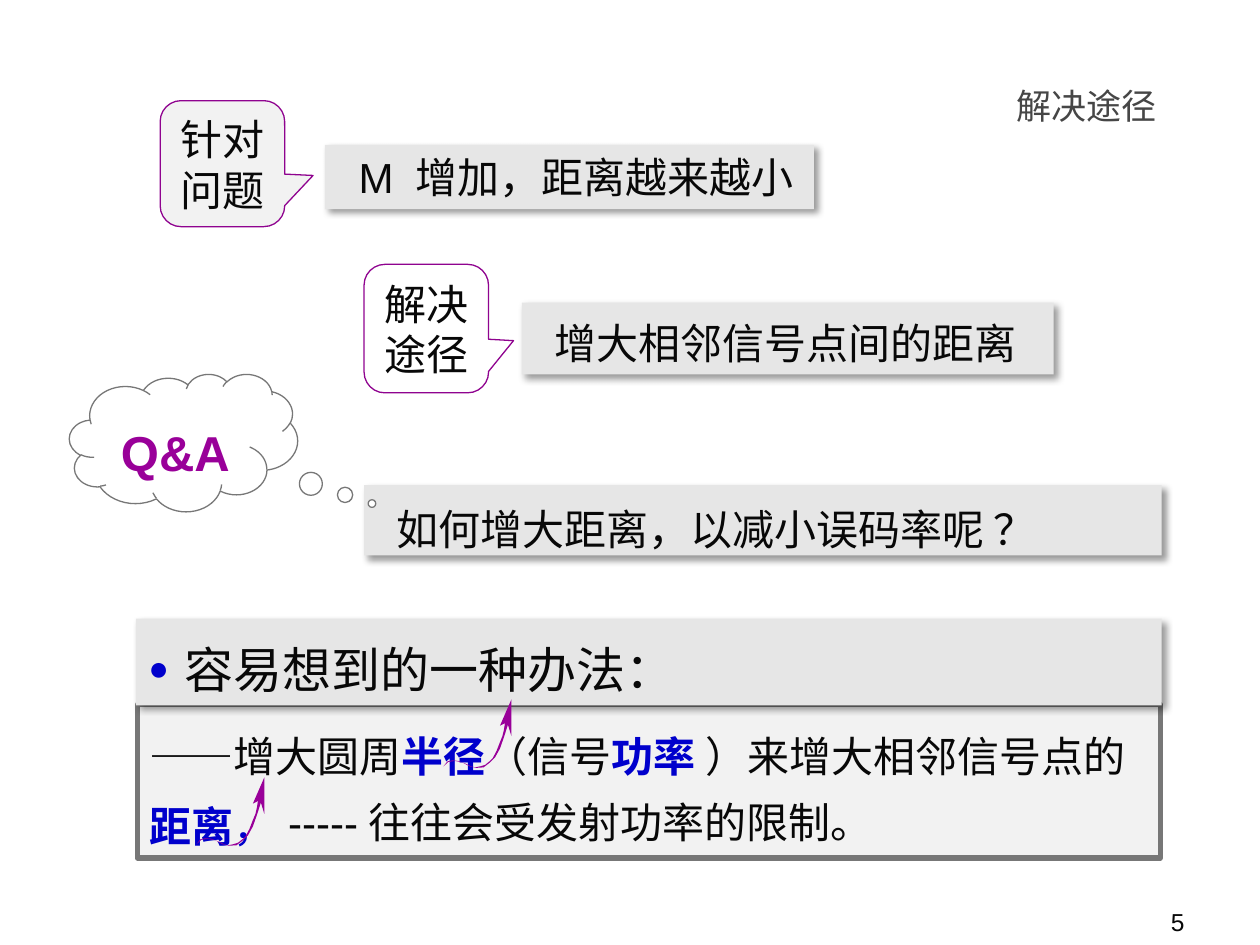
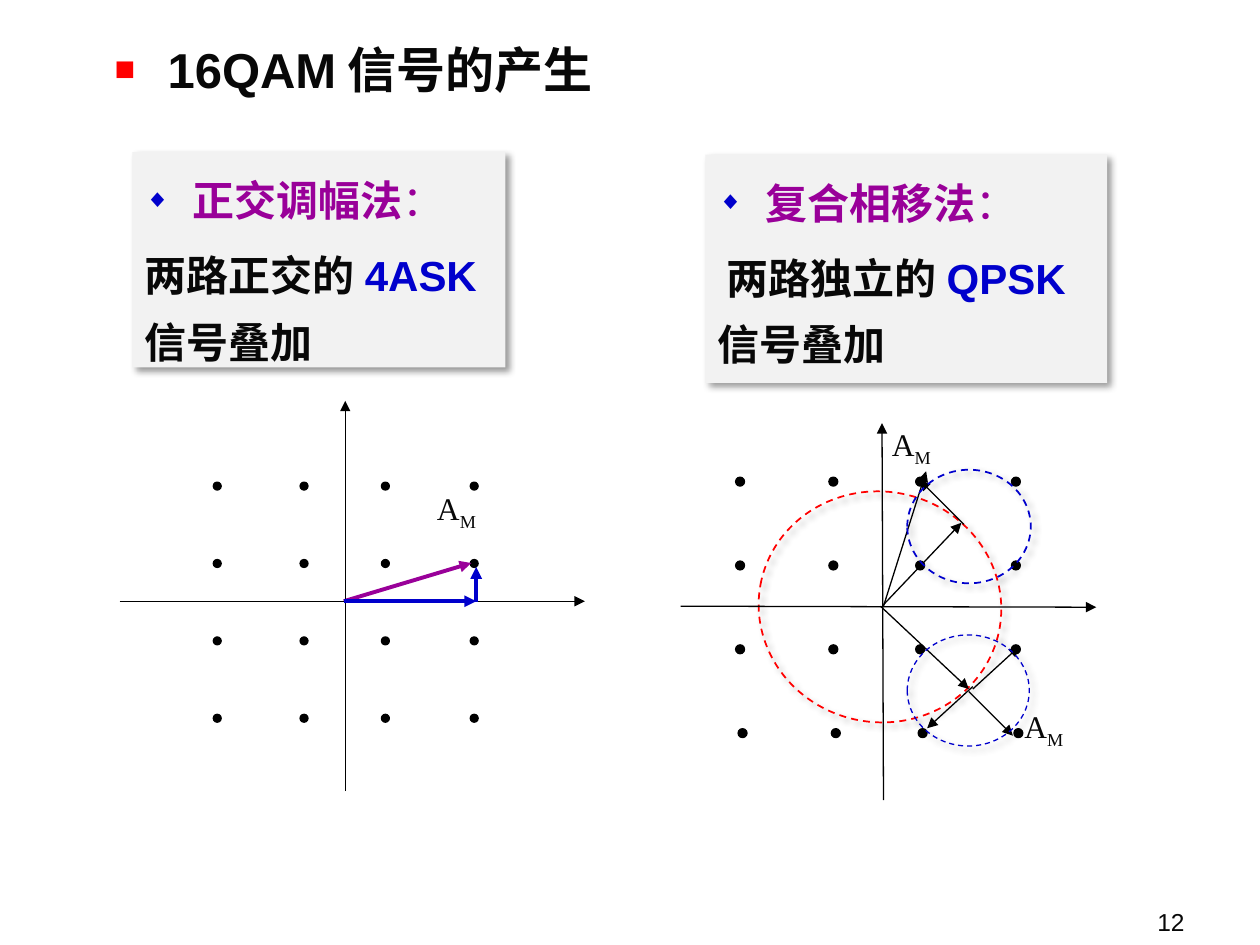
from dataclasses import dataclass
from itertools import product
from typing import NamedTuple

from lxml.etree import SubElement as Sub
from pptx import Presentation
from pptx.dml.color import RGBColor
from pptx.enum.dml import MSO_LINE as Dash
from pptx.enum.shapes import MSO_CONNECTOR as Link, MSO_SHAPE as Kind
from pptx.enum.text import MSO_ANCHOR as Anchor, PP_ALIGN as Align
from pptx.oxml.ns import qn
from pptx.util import Cm, Pt

# Shared colours and fonts
INK, BLUE, PLUM, RED = "080808", "0000CC", "990099", "FF0000"
BLACK, WHITE, SLATE, RIM = "000000", "FFFFFF", "777777", "8F038F"
BAND, PALE = "E6E6E6", "F2F2F2"
SANS, HAN, SERIF = "Arial", "Noto Sans CJK SC", "Times New Roman"
LEAD = 1.21  # single line pitch, in font sizes


class Run(NamedTuple):
    text: str
    hue: str = ""
    bold: bool | None = None
    face: str = ""
    base: int = 0


class Mark(NamedTuple):
    char: str
    hue: str
    size: int
    hang: float


@dataclass
class Para:
    runs: list[Run]
    size: float = 24
    face: str = HAN
    hue: str = INK
    bold: bool | None = None
    pitch: float = 0
    align: Align = Align.LEFT
    left: float = 0
    first: float = 0
    before: float = 0
    mark: Mark | None = None


@dataclass
class Box:
    at: tuple[float, float, float, float]
    paras: tuple[Para, ...] = ()
    kind: Kind | None = Kind.RECTANGLE  # None makes a text box
    fill: str = ""
    edge: str = ""
    width: float = 0.75
    dash: bool = False
    shade: bool = False
    adj: tuple[float, ...] = ()
    wrap: bool = True
    mid: bool = False
    turn: float = 0


class Ray(NamedTuple):
    start: tuple[float, float]
    end: tuple[float, float]
    hue: str = BLACK
    width: float = 0.75


def tint(code: str) -> RGBColor:
    return RGBColor.from_string(code)


def write(para, item: Para) -> None:
    """Fill one paragraph: spacing, bullet, font, then runs."""
    para.alignment = item.align
    para.line_spacing = Pt(item.pitch or round(item.size * LEAD))
    if item.before:
        para.space_before = Pt(item.before)
    props = para._p.get_or_add_pPr()
    mark = item.mark
    left, first = (mark.hang, -mark.hang) if mark else (item.left, item.first)
    props.set("marL", str(Cm(left)))
    props.set("indent", str(Cm(first)))
    if mark:
        Sub(Sub(props, qn("a:buClr")), qn("a:srgbClr"), val=mark.hue)
        Sub(props, qn("a:buSzPct"), val=str(mark.size * 1000))
        Sub(props, qn("a:buFont"), typeface=SANS)
        Sub(props, qn("a:buChar"), char=mark.char)
    font = para.font
    font.size, font.name, font.bold = Pt(item.size), item.face, item.bold
    font.color.rgb = tint(item.hue)
    Sub(props.find(qn("a:defRPr")), qn("a:ea"), typeface=HAN)
    for part in item.runs:
        run = para.add_run()
        run.text = part.text
        if part.hue:
            run.font.color.rgb = tint(part.hue)
        if part.bold is not None:
            run.font.bold = part.bold
        if part.face:
            run.font.name = part.face
        if part.base:
            run._r.get_or_add_rPr().set("baseline", str(part.base * 1000))


def shade(shape) -> None:
    """Soft shadow to the lower right."""
    glow = Sub(shape._element.spPr.find(qn("a:effectLst")), qn("a:outerShdw"),
               blurRad=str(Pt(4)), dist=str(Pt(3)), dir=str(45 * 60000),
               algn="tl", rotWithShape="0")
    Sub(Sub(glow, qn("a:srgbClr"), val=BLACK), qn("a:alpha"), val="40000")


def draw(slide, box: Box) -> None:
    place = [Cm(v) for v in box.at]
    if box.kind is None:
        shape = slide.shapes.add_textbox(*place)
    else:
        shape = slide.shapes.add_shape(box.kind, *place)
        shape.shadow.inherit = False
        if box.shade:
            shade(shape)
        for i, value in enumerate(box.adj):
            shape.adjustments[i] = value
        if box.fill:
            shape.fill.solid()
            shape.fill.fore_color.rgb = tint(box.fill)
        else:
            shape.fill.background()
        if box.edge:
            shape.line.color.rgb = tint(box.edge)
            shape.line.width = Pt(box.width)
            if box.dash:
                shape.line.dash_style = Dash.DASH
        else:
            shape.line.fill.background()
        shape.rotation = box.turn
    frame = shape.text_frame
    frame.word_wrap = box.wrap
    frame.vertical_anchor = Anchor.MIDDLE if box.mid else Anchor.TOP
    for i, item in enumerate(box.paras):
        write(frame.add_paragraph() if i else frame.paragraphs[0], item)


def shoot(slide, ray: Ray) -> None:
    """Arrow from start to end."""
    ends = [Cm(v) for v in ray.start + ray.end]
    link = slide.shapes.add_connector(Link.STRAIGHT, *ends)
    link.line.color.rgb = tint(ray.hue)
    link.line.width = Pt(ray.width)
    props = link._element.spPr
    Sub(props.find(qn("a:ln")), qn("a:tailEnd"), type="triangle")
    Sub(props, qn("a:effectLst"))


def scatter(slide, cols: list[float], top: float, step: float,
            size: float, skew: float = 0) -> None:
    """Four rows of signal points; skew moves the last row right."""
    for row, x in product(range(4), cols):
        x += skew if row == 3 else 0
        draw(slide, Box((x - size / 2, top + row * step - size / 2, size, size),
                        kind=Kind.OVAL, fill=BLACK, edge=BLACK))


# Curved arrow outline, from its top left corner
SWOOSH = [
    (1.37, 0), (1.14, 0.53), (1.24, 0.48), (1.22, 0.61), (1.19, 0.74),
    (1.14, 0.86), (1.07, 1.04), (0.99, 1.19), (0.94, 1.24), (0.84, 1.32),
    (0.74, 1.35), (0.64, 1.37), (0.56, 1.35), (0.46, 1.3), (0.3, 1.24),
    (0.18, 1.23), (0.08, 1.25), (0, 1.35), (0.1, 1.26), (0.23, 1.24),
    (0.38, 1.27), (0.53, 1.35), (0.66, 1.38), (0.81, 1.37), (0.94, 1.27),
    (1.04, 1.17), (1.14, 0.99), (1.22, 0.76), (1.3, 0.51), (1.37, 0.74)]


def swoosh(slide, left: float, top: float) -> None:
    dots = [(Cm(left + x), Cm(top + y)) for x, y in SWOOSH]
    pen = slide.shapes.build_freeform(*dots[0])
    pen.add_line_segments(dots[1:], close=True)
    shape = pen.convert_to_shape()
    shape.shadow.inherit = False
    shape.fill.solid()
    shape.fill.fore_color.rgb = tint(PLUM)
    shape.line.fill.background()


def band(at: tuple, para: Para) -> Box:
    return Box(at, (para,), fill=BAND, shade=True)


def callout(at: tuple, lines: tuple[str, str], adj: tuple, fill: str = "") -> Box:
    paras = tuple(Para([Run(s)], align=Align.CENTER) for s in lines)
    return Box(at, paras, Kind.ROUNDED_RECTANGULAR_CALLOUT, fill, RIM,
               adj=adj, wrap=False, mid=True)


def card(at: tuple, head: str, start: str, code: str, first: float = 0) -> Box:
    top = Para([Run(head, bold=True), Run("：", face=SANS)], hue=PLUM,
               pitch=38, mark=Mark("◆", BLUE, 60, 0.97))
    body = Para([Run(start), Run(code, BLUE, face=SANS), Run("信号叠加")],
                bold=True, pitch=38, before=5, first=first)
    return Box(at, (top, body), fill=PALE, shade=True)


def label(*at: float) -> Box:
    return Box(at, (Para([Run("A"), Run("M", base=-25)], 18, SERIF),), None)


def ring(at: tuple, hue: str, width: float, turn: float = 0) -> Box:
    return Box(at, kind=Kind.OVAL, edge=hue, width=width, dash=True,
               shade=True, turn=turn)


def start(deck, page: int):
    """Blank slide with its page number."""
    slide = deck.slides.add_slide(deck.slide_layouts[6])
    draw(slide, Box((18.21, 18.16, 5.92, 0.69),
                    (Para([Run(str(page))], 14, SANS, align=Align.RIGHT),), None))
    return slide


def ways(deck) -> None:
    slide = start(deck, 5)
    for box in (
        band((7.34, 9.78, 16.08, 1.42),
             Para([Run("如何增大距离，以减小误码率呢 ？")], pitch=36, left=0.4)),
        Box((1.4, 7.54, 4.6, 2.77),
            (Para([Run("Q&A")], 28, SANS, PLUM, True, 48, Align.CENTER),),
            Kind.CLOUD_CALLOUT, WHITE, SLATE, adj=(0.826, 0.443),
            wrap=False, mid=True),
        callout((3.23, 2.03, 2.51, 2.54), ("针对", "问题"),
                (0.728, 0.094, 0.167), PALE),
        callout((7.34, 5.33, 2.51, 2.59), ("解决", "途径"),
                (0.7, 0.094, 0.167)),
        band((6.55, 2.92, 9.86, 1.3),
             Para([Run("M 增加，距离越来越小")], face=SANS, left=0.43)),
        band((10.52, 6.1, 10.72, 1.45),
             Para([Run("增大相邻信号点间的距离")], pitch=34, left=0.4)),
        Box((2.77, 14.2, 20.62, 3.1), (Para([
            Run("——增大圆周"), Run("半径", BLUE, True), Run("（信号"),
            Run("功率", BLUE, True), Run(" ）来增大相邻信号点的"),
            Run("距离", BLUE, True), Run("，", BLUE)], face=SANS, pitch=40),),
            fill=PALE, edge=SLATE, width=3),
        band((2.74, 12.47, 20.68, 1.75),
             Para([Run("容易想到的一种办法：")], 28, pitch=42,
                  mark=Mark("●", BLUE, 70, 0.74))),
    ):
        draw(slide, box)
    swoosh(slide, 8.94, 14.1)
    swoosh(slide, 3.96, 15.67)
    draw(slide, Box((5.56, 15.93, 13.11, 1.3), (
        Para([Run("-----往往会受发射功率的限制。")], face=SANS),), None))
    draw(slide, Box((20.24, 1.57, 3.35, 1.12), (
        Para([Run("解决途径")], 20, hue="464646"),), None, wrap=False))


def qam(deck) -> None:
    slide = start(deck, 12)
    draw(slide, Box((2.06, 0.66, 11.58, 1.45), (
        Para([Run("16QAM信号的产生")], 28, SANS, bold=True,
             mark=Mark("■", RED, 70, 1.07)),), None))

    # Left: two orthogonal 4ASK signals
    draw(slide, label(8.56, 9.83, 1.83, 1.04))
    scatter(slide, [4.38, 6.13, 7.77, 9.56], 9.8, 1.56, 0.16)
    for ray in (
        Ray((6.93, 12.12), (9.5, 11.35), PLUM, 2.25),
        Ray((2.41, 12.12), (11.79, 12.12)),
        Ray((6.96, 15.95), (6.96, 8.08)),
        Ray((6.93, 12.12), (9.6, 12.12), BLUE, 2.25),
        Ray((9.6, 12.14), (9.6, 11.43), BLUE, 2.25),
    ):
        shoot(slide, ray)
    draw(slide, card((2.67, 3.07, 7.52, 4.34), "正交调幅法", "两路正交的", "4ASK"))

    # Right: two independent QPSK signals
    draw(slide, card((14.22, 3.12, 8.1, 4.6), "复合相移法", "两路独立的",
                     "QPSK", 0.18))
    draw(slide, label(17.73, 8.53, 1.98, 1.22))
    draw(slide, label(20.4, 14.22, 1.98, 1.22))
    draw(slide, ring((15.29, 9.91, 4.9, 4.65), RED, 1, 10.6))
    scatter(slide, [14.92, 16.8, 18.55, 20.48], 9.71, 1.69, 0.18, 0.05)
    for ray in (
        Ray((19.43, 10.57), (18.54, 9.68)),
        Ray((17.81, 12.19), (19.38, 10.54)),
        Ray((13.72, 12.22), (22.1, 12.24)),
        Ray((17.81, 16.13), (17.78, 8.53)),
        Ray((17.81, 12.22), (18.67, 9.5)),
        Ray((17.75, 12.22), (19.53, 13.89)),
        Ray((19.53, 13.94), (20.42, 14.83)),
        Ray((19.61, 13.84), (18.69, 14.68)),
        Ray((19.61, 13.89), (20.55, 13.03)),
    ):
        shoot(slide, ray)
    draw(slide, ring((18.29, 12.8, 2.46, 2.24), BLUE, 0.75))
    draw(slide, ring((18.29, 9.47, 2.49, 2.29), BLUE, 1))


def main() -> None:
    deck = Presentation()
    deck.slide_width, deck.slide_height = Cm(25.4), Cm(19.05)
    ways(deck)
    qam(deck)
    deck.save("out.pptx")


if __name__ == "__main__":
    main()
